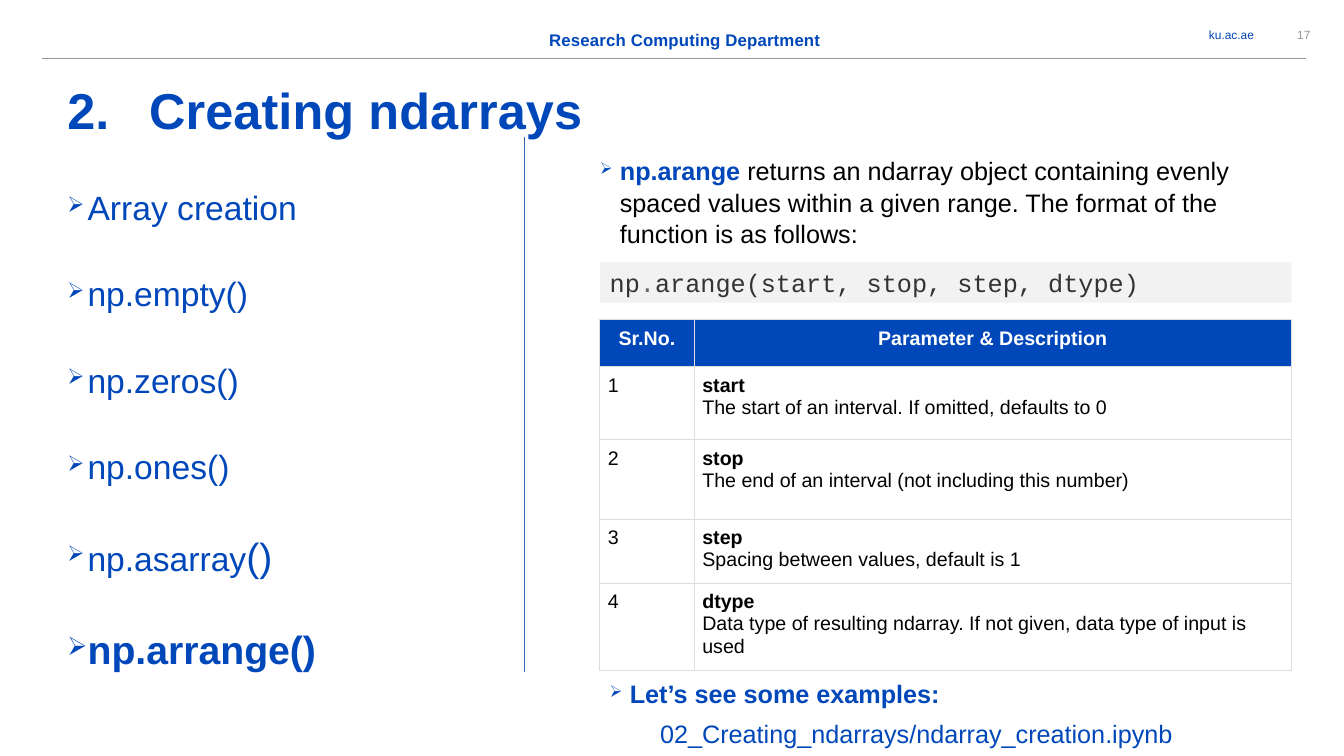
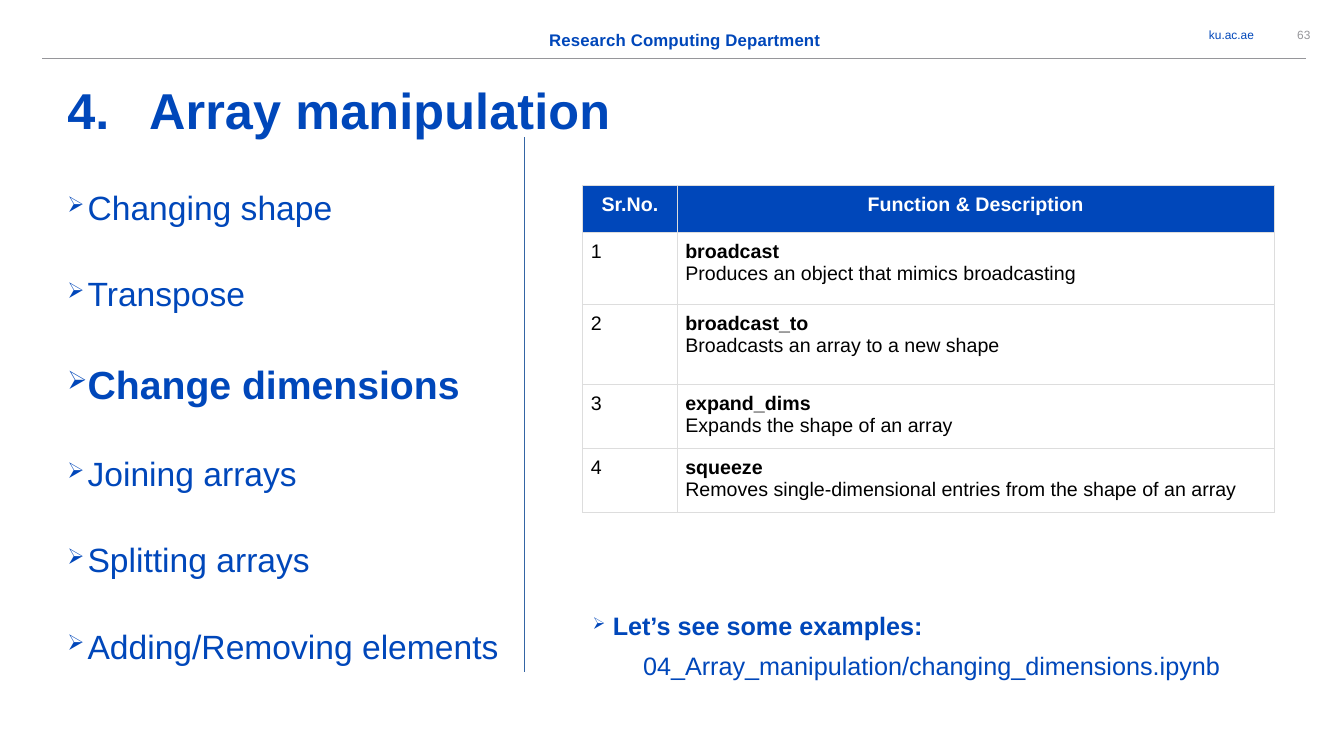
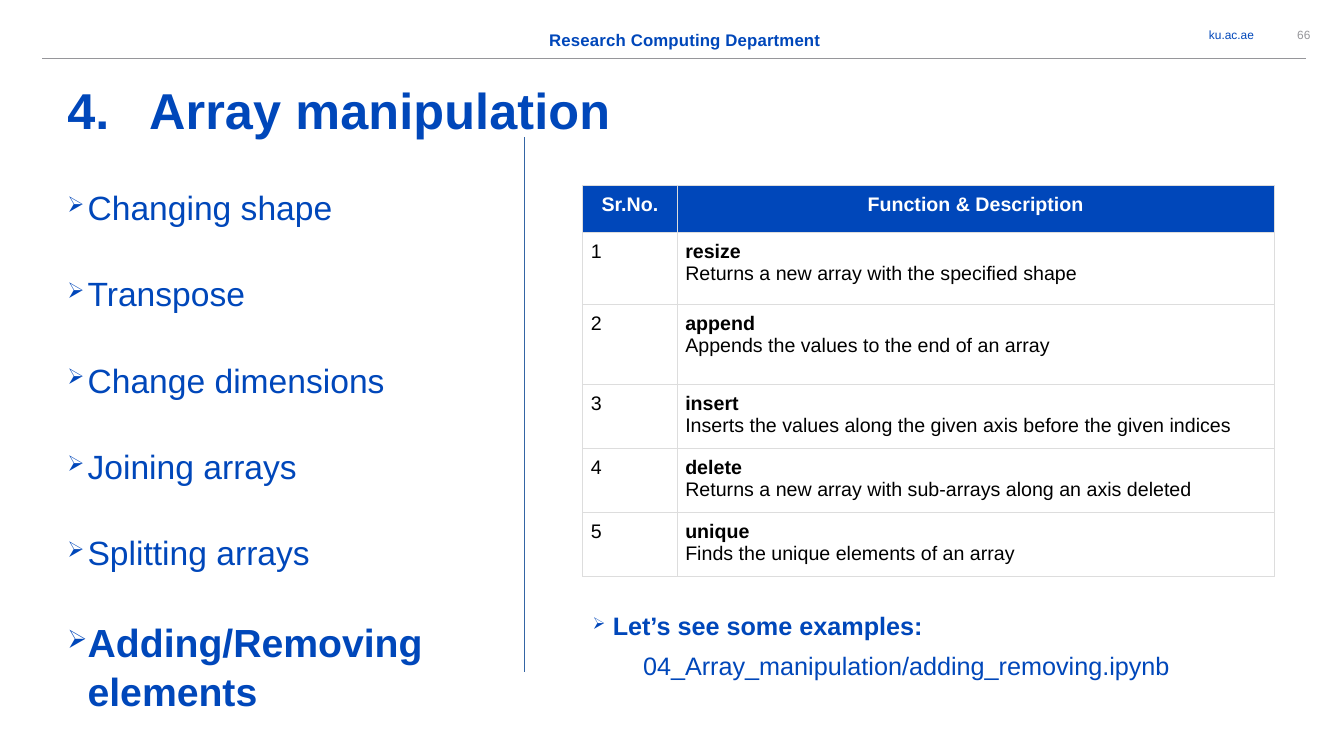
from dataclasses import dataclass, replace

from lxml import etree
from pptx import Presentation
from pptx.dml.color import RGBColor
from pptx.enum.shapes import MSO_CONNECTOR, MSO_SHAPE
from pptx.enum.text import MSO_ANCHOR, PP_ALIGN
from pptx.oxml.ns import qn
from pptx.util import Pt

LEFT, CENTER, RIGHT = PP_ALIGN.LEFT, PP_ALIGN.CENTER, PP_ALIGN.RIGHT
TOP, MIDDLE = MSO_ANCHOR.TOP, MSO_ANCHOR.MIDDLE
STRAIGHT, RECTANGLE = MSO_CONNECTOR.STRAIGHT, MSO_SHAPE.RECTANGLE


@dataclass(frozen=True)
class TextStyle:
    size: float
    color: str
    bold: bool = False
    font: str = "Arial"
    tracking: int = 0  # hundredths of a point


@dataclass(frozen=True)
class Theme:
    blue: str = "0047BA"
    gray: str = "96969A"
    divider: str = "3465A4"
    code_fill: str = "F2F2F2"
    grid: str = "DDDDDD"
    rule_width: float = 0.75
    leading: float = 1.04
    bullet_indent: float = 14.4
    bullet_gap: float = 31.7
    title = TextStyle(36, blue, True, tracking=10)
    header = TextStyle(12, blue, True, tracking=10)
    link = TextStyle(8.5, blue)
    number = TextStyle(8.5, gray)
    topic = TextStyle(24, blue)
    large_topic = TextStyle(28, blue)
    current_topic = TextStyle(28, blue, True)
    body = TextStyle(18, "000000")
    body_strong = TextStyle(18, blue, True)
    file_name = TextStyle(18, blue)
    code = TextStyle(18, "333333", font="Courier New")
    code_dot = replace(code, color="666666")
    table_head = TextStyle(14, "FFFFFF", True)
    cell = TextStyle(14, "000000")
    cell_strong = TextStyle(14, "000000", True)


theme = Theme()

ARRAY_TOPICS = ["Changing shape", "Transpose", "Change dimensions",
                "Joining arrays", "Splitting arrays", "Adding/Removing elements"]


def array_topics(current):
    """Style the array manipulation topics, with the current one emphasised."""
    return [[(topic, theme.current_topic if topic == current else theme.topic)]
            for topic in ARRAY_TOPICS]


PAGES = [
    dict(
        page_number="17", chapter=2, title="Creating ndarrays",
        topics=[[(name, theme.topic)] for name in
                ("Array creation", "np.empty()", "np.zeros()", "np.ones()")]
        + [[("np.asarray", theme.topic), ("()", theme.large_topic)],
           [("np.arrange()", theme.current_topic)]],
        intro=[("np.arange", theme.body_strong),
               (" returns an ndarray object containing evenly spaced values within "
                "a given range. The format of the function is as follows:", theme.body)],
        code=[("np", theme.code), (".", theme.code_dot),
              ("arange(start, stop, step, dtype)", theme.code)],
        left=428.4, table_top=228.3, examples_top=480.2,
        heading="Parameter & Description",
        row_heights=[33.5, 52, 57, 45.75, 62.5],
        entries=[("start", "The start of an interval. If omitted, defaults to 0"),
                 ("stop", "The end of an interval (not including this number)"),
                 ("step", "Spacing between values, default is 1"),
                 ("dtype", "Data type of resulting ndarray. If not given, "
                           "data type of input is used")],
        notebook="02_Creating_ndarrays/ndarray_creation.ipynb",
    ),
    dict(
        page_number="63", chapter=4, title="Array manipulation",
        topics=array_topics("Change dimensions"),
        left=416.2, table_top=132.5, examples_top=431.3,
        heading="Function & Description",
        row_heights=[33.5, 51.75, 57, 45.75, 45.75],
        entries=[("broadcast", "Produces an object that mimics broadcasting"),
                 ("broadcast_to", "Broadcasts an array to a new shape"),
                 ("expand_dims", "Expands the shape of an array"),
                 ("squeeze", "Removes single-dimensional entries from the shape of an array")],
        notebook="04_Array_manipulation/changing_dimensions.ipynb",
    ),
    dict(
        page_number="66", chapter=4, title="Array manipulation",
        topics=array_topics("Adding/Removing elements"),
        left=416.2, table_top=132.5, examples_top=431.3,
        heading="Function & Description",
        row_heights=[33.5, 51.75, 57, 45.75, 45.75, 45.75],
        entries=[("resize", "Returns a new array with the specified shape"),
                 ("append", "Appends the values to the end of an array"),
                 ("insert", "Inserts the values along the given axis before the given indices"),
                 ("delete", "Returns a new array with sub-arrays along an axis deleted"),
                 ("unique", "Finds the unique elements of an array")],
        notebook="04_Array_manipulation/adding_removing.ipynb",
    ),
]


def add_para(frame, spans, align=LEFT, bullet=False, number=None, indent=0,
             before=0, leading=1.0):
    """Fill the empty first paragraph of the frame, or append a new one."""
    para = frame.paragraphs[0]
    if para.runs:
        para = frame.add_paragraph()
        para.space_before = Pt(before)
    para.alignment = align
    para.line_spacing = leading
    properties = para._p.get_or_add_pPr()
    if indent:
        properties.set("marL", str(Pt(indent)))
    if bullet or number:
        properties.set("indent", str(-Pt(indent)))
    if bullet:
        color = etree.SubElement(properties, qn("a:buClr"))
        etree.SubElement(color, qn("a:srgbClr"), val=theme.blue)
        etree.SubElement(properties, qn("a:buSzPct"), val="65000")
        etree.SubElement(properties, qn("a:buChar"), char="➢")
    if number:
        etree.SubElement(properties, qn("a:buAutoNum"), type="arabicPeriod",
                         startAt=str(number))
    for text, style in spans:
        run = para.add_run()
        run.text = text
        run.font.name = style.font
        run.font.size = Pt(style.size)
        run.font.bold = style.bold
        run.font.color.rgb = RGBColor.from_string(style.color)
        if style.tracking:
            run._r.get_or_add_rPr().set("spc", str(style.tracking))


def add_box(page, left, top, width, height, anchor=TOP, inset=(0, 0)):
    """Add a wrapping text box and return its text frame."""
    box = page.shapes.add_textbox(Pt(left), Pt(top), Pt(width), Pt(height))
    frame = box.text_frame
    frame.word_wrap = True
    frame.vertical_anchor = anchor
    frame.margin_left = frame.margin_right = Pt(inset[0])
    frame.margin_top = frame.margin_bottom = Pt(inset[1])
    return frame


deck = Presentation()
deck.slide_width, deck.slide_height = Pt(960), Pt(540)
bullet_style = dict(bullet=True, indent=theme.bullet_indent,
                    before=theme.bullet_gap, leading=theme.leading)

for content in PAGES:
    page = deck.slides.add_slide(deck.slide_layouts[6])
    left = content["left"]

    # Header band, title and rules
    add_para(add_box(page, 820, 15.8, 75.7, 18.7, MIDDLE),
             [("ku.ac.ae", theme.link)], RIGHT)
    add_para(add_box(page, 910.8, 15.8, 41, 18.7, MIDDLE),
             [(content["page_number"], theme.number)], CENTER)
    add_para(add_box(page, 374.4, 20.9, 229.7, 14.4),
             [("Research Computing Department", theme.header)], CENTER,
             leading=theme.leading)
    add_para(add_box(page, 48.2, 54.7, 863.3, 43.9),
             [(content["title"], theme.title)], number=content["chapter"],
             indent=58.3, leading=theme.leading)
    for x1, y1, x2, y2, color in [(30.2, 41.8, 933.1, 41.8, theme.gray),
                                  (374.4, 98, 374.4, 480.2, theme.divider)]:
        rule = page.shapes.add_connector(STRAIGHT, Pt(x1), Pt(y1), Pt(x2), Pt(y2))
        rule.line.color.rgb = RGBColor.from_string(color)
        rule.line.width = Pt(theme.rule_width)
        etree.SubElement(rule._element.spPr, qn("a:effectLst"))

    # Topics on the left
    topic_frame = add_box(page, 48.2, 132.5, 326.2, 357.1)
    for topic in content["topics"]:
        add_para(topic_frame, topic, **bullet_style)

    # Introduction and signature
    if "intro" in content:
        add_para(add_box(page, left, 110.2, 494, 70), content["intro"], **bullet_style)
        code_box = page.shapes.add_shape(RECTANGLE, Pt(left), Pt(187.2), Pt(494), Pt(29))
        code_box.shadow.inherit = False
        code_box.fill.solid()
        code_box.fill.fore_color.rgb = RGBColor.from_string(theme.code_fill)
        code_box.line.fill.background()
        add_para(code_box.text_frame, content["code"])

    # Reference table
    rows = [[[("Sr.No.", theme.table_head)], [(content["heading"], theme.table_head)]]]
    for index, (name, description) in enumerate(content["entries"], 1):
        rows.append([[(str(index), theme.cell)],
                     [(name, theme.cell_strong), (description, theme.cell)]])
    heights = content["row_heights"]
    table = page.shapes.add_table(len(rows), 2, Pt(left), Pt(content["table_top"]),
                                  Pt(494), Pt(sum(heights))).table
    table.first_row = table.horz_banding = False
    for column, width in zip(table.columns, (67.5, 426.5)):
        column.width = Pt(width)
    for row_index, (row, height) in enumerate(zip(rows, heights)):
        table.rows[row_index].height = Pt(height)
        for column_index, lines in enumerate(row):
            cell = table.cell(row_index, column_index)
            cell.margin_left = cell.margin_right = Pt(5.8)
            cell.margin_top = cell.margin_bottom = Pt(5.8)
            for line in lines:
                add_para(cell.text_frame, [line], LEFT if row_index else CENTER)
            properties = cell._tc.get_or_add_tcPr()
            for side in ("a:lnL", "a:lnR", "a:lnT", "a:lnB"):
                border = etree.SubElement(properties, qn(side),
                                          w=str(Pt(theme.rule_width)))
                paint = etree.SubElement(border, qn("a:solidFill"))
                etree.SubElement(paint, qn("a:srgbClr"), val=theme.grid)
            if row_index:
                cell.fill.background()
            else:
                cell.fill.solid()
                cell.fill.fore_color.rgb = RGBColor.from_string(theme.blue)

    # Pointer to the examples
    example_frame = add_box(page, left, content["examples_top"], 480, 56.9, inset=(7.2, 3.6))
    add_para(example_frame, [("Let’s see some examples:", theme.body_strong)], **bullet_style)
    add_para(example_frame, [(content["notebook"], theme.file_name)],
             indent=36, before=6, leading=theme.leading)

deck.save("out.pptx")
